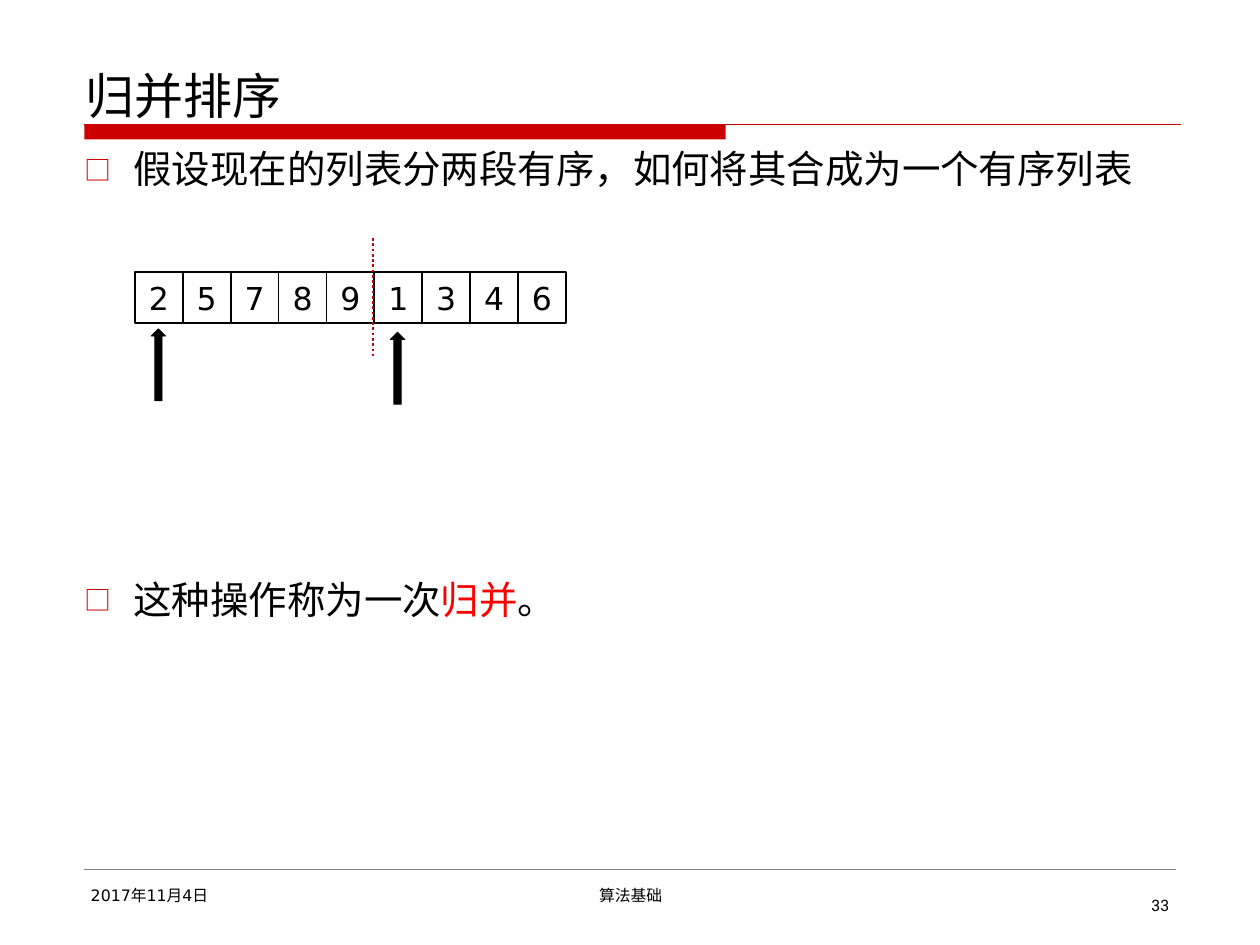
from lxml import etree
from pptx import Presentation
from pptx.dml.color import RGBColor
from pptx.enum import dml, shapes, text
from pptx.oxml import ns
from pptx.util import Cm, Pt

HUES = {"red": "CC0000", "key": "FF0000", "ink": "000000",
        "paper": "FFFFFF", "gray": "808080"}
HAN = "Noto Sans CJK SC"
LATIN = "DejaVu Sans"


def hue(name):
    return RGBColor.from_string(HUES[name])


def add_run(para, words, size, font=HAN, color="ink"):
    run = para.add_run()
    run.text = words
    run.font.size = Pt(size)
    run.font.name = font
    run.font.color.rgb = hue(color)
    if font == HAN:
        props = run.font._element
        etree.SubElement(props, ns.qn("a:ea")).set("typeface", font)


def set_frame(shape, anchor=text.MSO_ANCHOR.TOP, wrap=True):
    frame = shape.text_frame
    frame.word_wrap = wrap
    frame.auto_size = text.MSO_AUTO_SIZE.NONE
    frame.vertical_anchor = anchor
    frame.margin_left = frame.margin_right = Cm(0.13)
    frame.margin_top = frame.margin_bottom = Cm(0.13)
    return frame


def place(shape, left, top, width, height):
    shape.left, shape.top = Cm(left), Cm(top)
    shape.width, shape.height = Cm(width), Cm(height)


def add_form(slide, kind, box, fill, line=None, weight=1):
    form = slide.shapes.add_shape(kind, *map(Cm, box))
    form.shadow.inherit = False
    form.fill.solid()
    form.fill.fore_color.rgb = hue(fill)
    if line:
        form.line.color.rgb = hue(line)
        form.line.width = Pt(weight)
    else:
        form.line.fill.background()
    return form


def add_rule(slide, start, end, color, weight, dash=None):
    rule = slide.shapes.add_connector(
        shapes.MSO_CONNECTOR.STRAIGHT, *map(Cm, start + end))
    rule.line.color.rgb = hue(color)
    rule.line.width = Pt(weight)
    if dash:
        rule.line.dash_style = dash
    etree.SubElement(rule._element.spPr, ns.qn("a:effectLst"))


def add_label(slide, box, runs, align, wrap=True):
    label = slide.shapes.add_textbox(*map(Cm, box))
    para = set_frame(label, wrap=wrap).paragraphs[0]
    para.alignment = align
    for words, font in runs:
        add_run(para, words, 9, font)


def add_bullet(para):
    props = para._p.get_or_add_pPr()
    props.set("marL", str(Cm(0.99)))
    props.set("indent", str(-Cm(0.99)))
    color = etree.SubElement(props, ns.qn("a:buClr"))
    etree.SubElement(color, ns.qn("a:srgbClr")).set("val", HUES["red"])
    etree.SubElement(props, ns.qn("a:buSzPct")).set("val", "70000")
    etree.SubElement(props, ns.qn("a:buFont")).set("typeface", HAN)
    etree.SubElement(props, ns.qn("a:buChar")).set("char", "□")


def fill_title(slide):
    title = slide.shapes.title
    place(title, 1.6, 0.95, 22.23, 1.68)
    para = set_frame(title, text.MSO_ANCHOR.BOTTOM).paragraphs[0]
    para.alignment = text.PP_ALIGN.LEFT
    add_run(para, "归并排序", 28)


def fill_body(slide):
    body = slide.placeholders[1]
    place(body, 1.57, 2.8, 22.23, 13.2)
    frame = set_frame(body)
    points = [
        (0, [("假设现在的列表分两段有序，如何将其合成为一个有序列表", "ink")]),
        (219.5, [("这种操作称为一次", "ink"), ("归并", "key"), ("。", "ink")]),
    ]
    for i, (gap, runs) in enumerate(points):
        para = frame.add_paragraph() if i else frame.paragraphs[0]
        para.space_before = Pt(gap)
        add_bullet(para)
        for words, color in runs:
            add_run(para, words, 22, color=color)


def add_list(slide, values, left, top, width):
    step = width / len(values)
    for i, value in enumerate(values):
        cell = add_form(slide, shapes.MSO_SHAPE.RECTANGLE,
                        (left + i * step, top, step, 1.02), "paper", "ink")
        para = set_frame(cell, text.MSO_ANCHOR.MIDDLE).paragraphs[0]
        para.alignment = text.PP_ALIGN.CENTER
        add_run(para, str(value), 18, LATIN)


def add_footer(slide):
    add_rule(slide, (1.7, 17.53), (23.7, 17.53), "gray", 0.25)
    date = [("2017", LATIN), ("年", HAN), ("11", LATIN),
            ("月", HAN), ("4", LATIN), ("日", HAN)]
    add_label(slide, (1.7, 17.73, 5.51, 0.71), date, text.PP_ALIGN.LEFT)
    add_label(slide, (8.69, 17.73, 8.05, 0.71), [("算法基础", HAN)],
              text.PP_ALIGN.CENTER)
    add_label(slide, (23.01, 17.93, 0.69, 0.64), [("33", "Roboto")],
              text.PP_ALIGN.RIGHT, False)


def main():
    deck = Presentation()
    deck.slide_width, deck.slide_height = Cm(25.4), Cm(19.05)
    slide = deck.slides.add_slide(deck.slide_layouts[1])
    add_form(slide, shapes.MSO_SHAPE.RECTANGLE, (1.7, 2.51, 12.93, 0.3), "red")
    add_rule(slide, (1.7, 2.51), (23.8, 2.51), "red", 0.75)
    fill_title(slide)
    fill_body(slide)
    add_list(slide, [2, 5, 7, 8, 9, 1, 3, 4, 6], 2.72, 5.49, 8.69)
    add_rule(slide, (7.52, 4.8), (7.52, 7.19), "red", 1.5,
             dml.MSO_LINE.ROUND_DOT)
    for left, top in ((3.05, 6.63), (7.87, 6.7)):
        add_form(slide, shapes.MSO_SHAPE.UP_ARROW, (left, top, 0.29, 1.45),
                 "ink", "ink", 0.5)
    add_footer(slide)
    deck.save("out.pptx")


if __name__ == "__main__":
    main()
